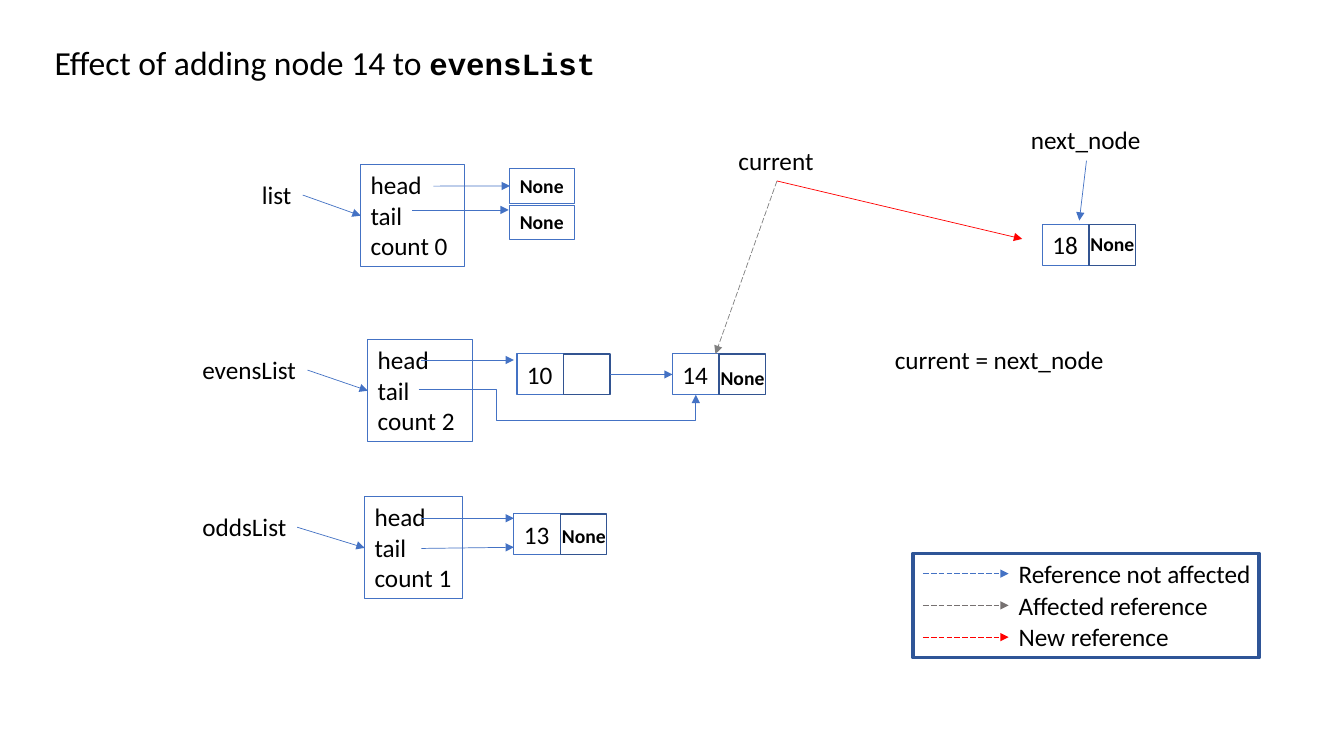
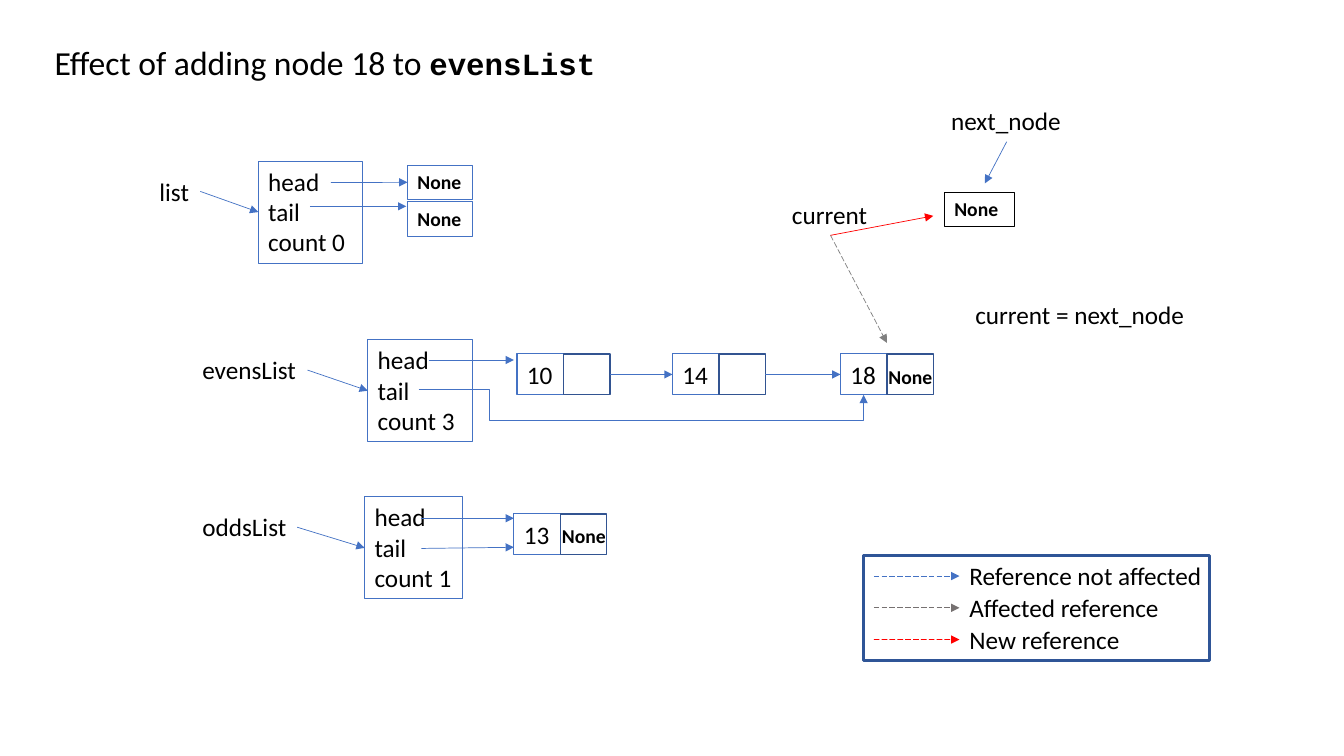
import pptx
import pptx.dml.color
import pptx.enum.dml
import pptx.enum.shapes
import pptx.enum.text
import pptx.oxml
import pptx.oxml.ns
import pptx.util

Cm = pptx.util.Cm
Pt = pptx.util.Pt
rgb = pptx.dml.color.RGBColor.from_string
qn = pptx.oxml.ns.qn
CONNECTOR = pptx.enum.shapes.MSO_CONNECTOR

BLUE, CELL_BLUE, FRAME_BLUE = "4472C4", "325491", "2F5597"
GREY, LEGEND_GREY, RED, BLACK = "808080", "767171", "FF0000", "000000"
TOP, LEFT, BOTTOM, RIGHT = range(4)
CELL_W, ROW_H = 1.17, 1.03
NONE_H = 0.87
LIST_H = 2.57
LEGEND = [("Reference not affected", 6.45, BLUE),
          ("Affected reference", 5.36, LEGEND_GREY),
          ("New reference", 4.34, RED)]
LEGEND_STEP = 0.8

# Nodes are value, x, y and the drop of the "None" label (None: no label)
SLIDES = [
    dict(added="14", count="2",
         nodes=[("10", 13.03, 8.92, None), ("13", 12.95, 12.95, 0.13),
                ("14", 16.95, 8.92, 0.18), ("18", 26.27, 5.66, 0.05)],
         links=[("10", "14")], none_box=None,
         head_x=10.62, bend_x=12.52, list_at=(9.09, 4.15),
         current=(18.36, 3.53), old_target=(18.03, 8.92), new_target=(25.76, 6.02),
         next_node=(25.73, 3.02), next_target=(27.2, 5.56),
         statement=(22.3, 8.56), legend=(23.01, 13.94)),
    dict(added="18", count="3",
         nodes=[("10", 13.03, 8.92, None), ("13", 12.95, 12.95, 0.13),
                ("14", 16.95, 8.92, None), ("18", 21.18, 8.92, 0.15)],
         links=[("10", "14"), ("14", "18")], none_box=(23.8, 4.85),
         head_x=10.8, bend_x=12.32, list_at=(6.51, 4.06),
         current=(19.71, 4.9), old_target=(22.35, 8.64), new_target=(23.52, 5.44),
         next_node=(23.72, 2.54), next_target=(24.82, 4.62),
         statement=(24.33, 7.42), legend=(21.77, 14.0)),
]


def box(s, x, y, w, h, text="", line=None, width=0.75, size=18, bold=False):
    """Add a text box, or an outlined rectangle when a line colour is given."""
    at = Cm(x), Cm(y), Cm(w), Cm(h)
    if line:
        sp = s.shapes.add_shape(pptx.enum.shapes.MSO_SHAPE.RECTANGLE, *at)
        sp.shadow.inherit = False
        sp.fill.background()
        sp.line.color.rgb = rgb(line)
        sp.line.width = Pt(width)
    else:
        sp = s.shapes.add_textbox(*at)
    tf = sp.text_frame
    tf.word_wrap = False
    tf.vertical_anchor = pptx.enum.text.MSO_ANCHOR.TOP
    for i, part in enumerate(text.split("\n") if text else []):
        p = tf.add_paragraph() if i else tf.paragraphs[0]
        p.alignment = pptx.enum.text.PP_ALIGN.LEFT
        r = p.add_run()
        r.text = part
        r.font.name = "Calibri"
        r.font.size = Pt(size)
        r.font.bold = bold
        r.font.color.rgb = rgb(BLACK)
    return sp


def arrow(s, start, end, color=BLUE, dashed=False, kind=CONNECTOR.STRAIGHT):
    """Draw an arrow; each end is a point (x, y) or a joint (shape, side)."""
    joined = [hasattr(e[0], "shape_id") for e in (start, end)]
    points = [(0, 0) if j else e for j, e in zip(joined, (start, end))]
    c = s.shapes.add_connector(kind, *[Cm(v) for point in points for v in point])
    if joined[0]:
        c.begin_connect(*start)
    if joined[1]:
        c.end_connect(*end)
    c.line.color.rgb = rgb(color)
    c.line.width = Pt(0.5)
    if dashed:
        c.line.dash_style = pptx.enum.dml.MSO_LINE.LONG_DASH
    ln = c.line._get_or_add_ln()
    ln.append(ln.makeelement(qn("a:tailEnd"), {"type": "triangle"}))
    spPr = c._element.spPr
    spPr.append(spPr.makeelement(qn("a:effectLst"), {}))
    return c


prs = pptx.Presentation()
prs.slide_width, prs.slide_height = Cm(33.87), Cm(19.05)

for d in SLIDES:
    s = prs.slides.add_slide(prs.slide_layouts[5])

    # Title
    title = s.shapes.title
    title.left, title.top, title.width, title.height = Cm(1.12), Cm(0.94), Cm(20), Cm(1.27)
    tf = title.text_frame
    tf.vertical_anchor = pptx.enum.text.MSO_ANCHOR.TOP
    p = tf.paragraphs[0]
    p.alignment = pptx.enum.text.PP_ALIGN.LEFT
    for text, font, size, bold in ((f"Effect of adding node {d['added']} to ", "Calibri", 24, False),
                                   ("evensList", "Courier New", 22, True)):
        r = p.add_run()
        r.text = text
        r.font.name, r.font.size, r.font.bold = font, Pt(size), bold
        r.font.color.rgb = rgb(BLACK)

    # Nodes: a value cell and a pointer cell
    cells = {}
    for value, x, y, drop in d["nodes"]:
        cells[value] = (box(s, x, y, CELL_W, ROW_H, value, BLUE),
                        box(s, x + CELL_W, y, CELL_W, ROW_H, line=CELL_BLUE, width=1))
        if drop is not None:
            box(s, x + 0.96, y + drop, 1.78, NONE_H, "None", size=14, bold=True)
    for a, b in d["links"]:
        arrow(s, (cells[a][1], RIGHT), (cells[b][0], LEFT))

    # List objects with their names
    list_x, list_y = d["list_at"]
    for name, label_x, label_w, x, y, w, count in (
            ("list", list_x - 2.74, 1.28, list_x, list_y, 2.63, "0"),
            ("evensList", 4.85, 2.9, 9.27, 8.56, 2.63, d["count"]),
            ("oddsList", 4.85, 2.64, 9.19, 12.52, 2.47, "1")):
        label = box(s, label_x, y + 0.25, label_w, ROW_H, name)
        fields = box(s, x, y, w, LIST_H, f"head\ntail\ncount {count}", BLUE)
        arrow(s, (label, RIGHT), (fields, LEFT))

    # Head and tail of list
    none_head, none_tail = [box(s, list_x + 3.76, list_y + dy, 1.63, NONE_H, "None", BLUE,
                                size=14, bold=True) for dy in (0.1, 1.02)]
    arrow(s, (list_x + 1.83, list_y + 0.54), (none_head, LEFT))
    arrow(s, (list_x + 1.3, list_y + 1.14), (list_x + 3.73, list_y + 1.14))

    # Head and tail of oddsList, head of evensList
    arrow(s, (10.62, 13.06), (12.95, 13.06))
    arrow(s, (10.62, 13.82), (12.95, 13.79))
    arrow(s, (d["head_x"], 9.07), (12.95, 9.07))

    # Tail of evensList, bent below the nodes
    last = next(n for n in d["nodes"] if n[0] == d["added"])
    x0, y0, x1, y1 = 10.55, 9.81, last[1] + CELL_W / 2, last[2] + ROW_H
    c = arrow(s, (x0, y0), (x1, y1), kind=CONNECTOR.ELBOW)
    geom = c._element.spPr.find(qn("a:prstGeom"))
    geom.set("prst", "bentConnector4")
    av = geom.get_or_add_avLst()
    for name, part in (("adj1", (d["bend_x"] - x0) / (x1 - x0)),
                       ("adj2", (10.59 - y0) / (y1 - y0))):
        av.append(av.makeelement(qn("a:gd"), {"name": name, "fmla": f"val {round(part * 100000)}"}))

    # Variables and the statement
    current = box(s, *d["current"], 2.44, ROW_H, "current")
    arrow(s, (current, BOTTOM), d["old_target"], GREY, dashed=True)
    arrow(s, (current, BOTTOM), d["new_target"], RED)
    next_node = box(s, *d["next_node"], 3.3, ROW_H, "next_node")
    arrow(s, (next_node, BOTTOM), d["next_target"])
    if d["none_box"]:
        box(s, *d["none_box"], 1.78, NONE_H, "None", BLACK, size=14, bold=True)
    box(s, *d["statement"], 5.8, ROW_H, "current = next_node")

    # Legend
    x, y = d["legend"]
    for i, (text, w, color) in enumerate(LEGEND):
        row_y = y + i * LEGEND_STEP
        label = box(s, x + 2.41, row_y, w, ROW_H, text)
        arrow(s, (x + 0.25, row_y + ROW_H / 2), (label, LEFT), color, dashed=True)
    box(s, x, y, 8.72, 2.64, line=FRAME_BLUE, width=2.25)

prs.save("out.pptx")
